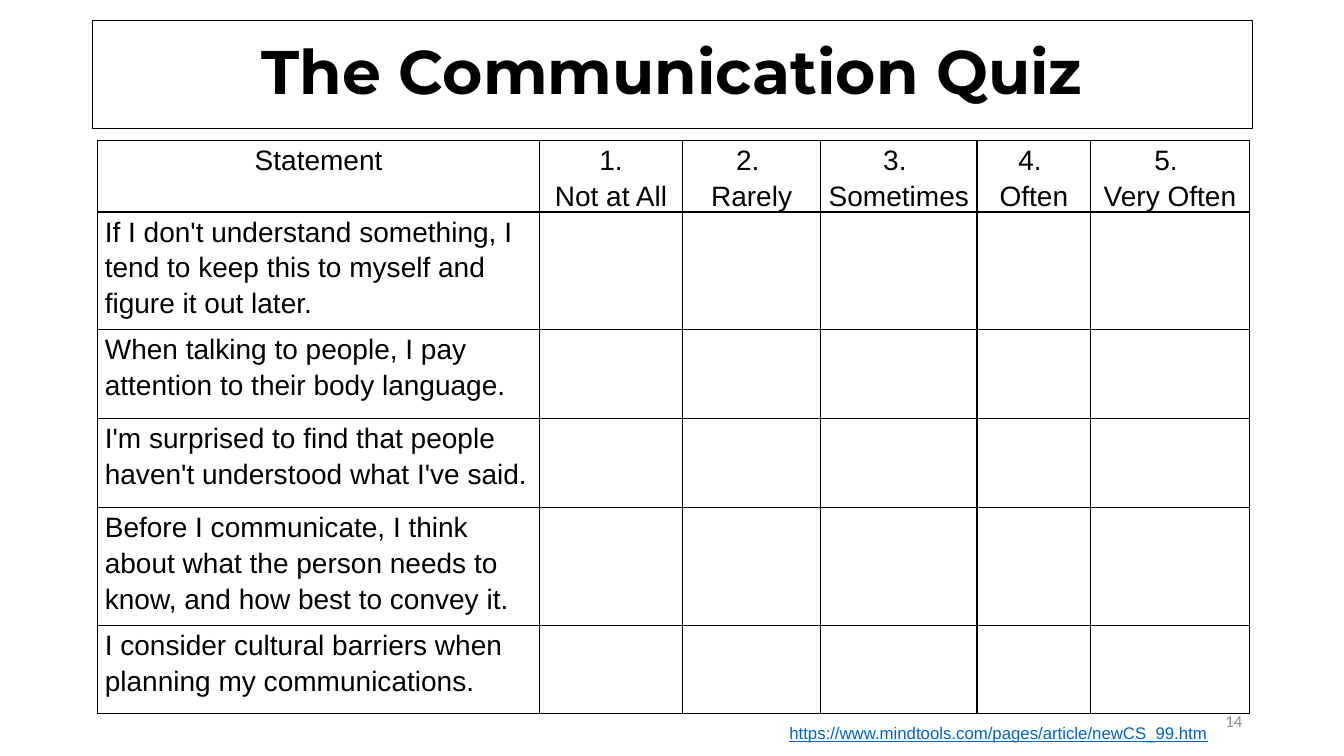
from lxml import etree
from pptx import Presentation
from pptx.dml.color import RGBColor as RGB
from pptx.enum.shapes import MSO_SHAPE as SHAPE
from pptx.enum.text import MSO_ANCHOR as ANCHOR, PP_ALIGN as ALIGN
from pptx.oxml.ns import qn
from pptx.util import Inches, Pt

COLORS = {"ink": "000000", "number": "8C8C8C", "link": "0563C1"}
HEADERS = [
    ["Statement"],
    ["1.", "Not at All"],
    ["2. ", "Rarely"],
    ["3. ", "Sometimes"],
    ["4. ", "Often"],
    ["5. ", "Very Often"],
]
STATEMENTS = [
    "If I don't understand something, I tend to keep this to myself and figure it out later.",
    "When talking to people, I pay attention to their body language.",
    "I'm surprised to find that people haven't understood what I've said.",
    "Before I communicate, I think about what the person needs to know, and how best to convey it.",
    "I consider cultural barriers when planning my communications.",
]
COL_WIDTHS = [4.38, 1.42, 1.37, 1.55, 1.13, 1.57]
HEADER_HEIGHT, LINE_HEIGHT, ROW_PAD = 0.71, 0.29, 0.3


def add_lines(tf, lines, size, font, color, align=ALIGN.LEFT, spacing=None):
    """Write each line as its own paragraph and return the last run."""
    for i, line in enumerate(lines):
        p = tf.paragraphs[0] if i == 0 else tf.add_paragraph()
        p.alignment = align
        if spacing:
            p.line_spacing = spacing
        r = p.add_run()
        r.text = line
        r.font.size = Pt(size)
        r.font.name = font
        r.font.color.rgb = RGB.from_string(COLORS[color])
    return r


def add_borders(cell):
    tc_pr = cell._tc.get_or_add_tcPr()
    for i, side in enumerate(("lnL", "lnR", "lnT", "lnB")):
        ln = etree.Element(qn(f"a:{side}"), w=str(Pt(1)))
        fill = etree.SubElement(ln, qn("a:solidFill"))
        etree.SubElement(fill, qn("a:srgbClr"), val=COLORS["ink"])
        tc_pr.insert(i, ln)


prs = Presentation()
prs.slide_width, prs.slide_height = Inches(13.33), Inches(7.5)
s = prs.slides.add_slide(prs.slide_layouts[6])

# Title
title = s.shapes.add_shape(SHAPE.RECTANGLE, Inches(0.92), Inches(0.2), Inches(11.5), Inches(1.08))
title.shadow.inherit = False
title.fill.background()
title.line.color.rgb = RGB.from_string(COLORS["ink"])
title.line.width = Pt(0.75)
title.text_frame.word_wrap = True
title.text_frame.vertical_anchor = ANCHOR.MIDDLE
r = add_lines(title.text_frame, ["The Communication Quiz"], 44, "Montserrat", "ink", ALIGN.CENTER, 0.9)
r.font.bold = True

# Quiz table: long statements take three lines, the others two
row_heights = [HEADER_HEIGHT] + [
    ROW_PAD + LINE_HEIGHT * (3 if len(text) > 70 else 2) for text in STATEMENTS
]
table = s.shapes.add_table(
    len(row_heights), len(COL_WIDTHS), Inches(0.97), Inches(1.39),
    Inches(sum(COL_WIDTHS)), Inches(sum(row_heights)),
).table
table.first_row = table.horz_banding = False
for col, width in zip(table.columns, COL_WIDTHS):
    col.width = Inches(width)
for row, height in zip(table.rows, row_heights):
    row.height = Inches(height)
for cell in table.iter_cells():
    cell.fill.background()
    cell.margin_left = cell.margin_right = Inches(0.07)
    cell.margin_top = cell.margin_bottom = 0
    add_borders(cell)
for i, lines in enumerate(HEADERS):
    add_lines(table.cell(0, i).text_frame, lines, 20, "Arial", "ink", ALIGN.CENTER, 1.15)
for i, text in enumerate(STATEMENTS, 1):
    add_lines(table.cell(i, 0).text_frame, [text], 20, "Arial", "ink", spacing=1.15)

# Slide number and source link
number = s.shapes.add_textbox(Inches(9.42), Inches(6.95), Inches(3), Inches(0.4))
number.text_frame.word_wrap = True
number.text_frame.vertical_anchor = ANCHOR.MIDDLE
add_lines(number.text_frame, ["14"], 12, "Calibri", "number", ALIGN.RIGHT)

source = s.shapes.add_textbox(Inches(7.73), Inches(7.12), Inches(4.38), Inches(0.3))
source.text_frame.word_wrap = False
r = add_lines(source.text_frame, ["https://www.mindtools.com/pages/article/newCS_99.htm"], 12, "Arial", "link")
r.font.underline = True

prs.save("out.pptx")
